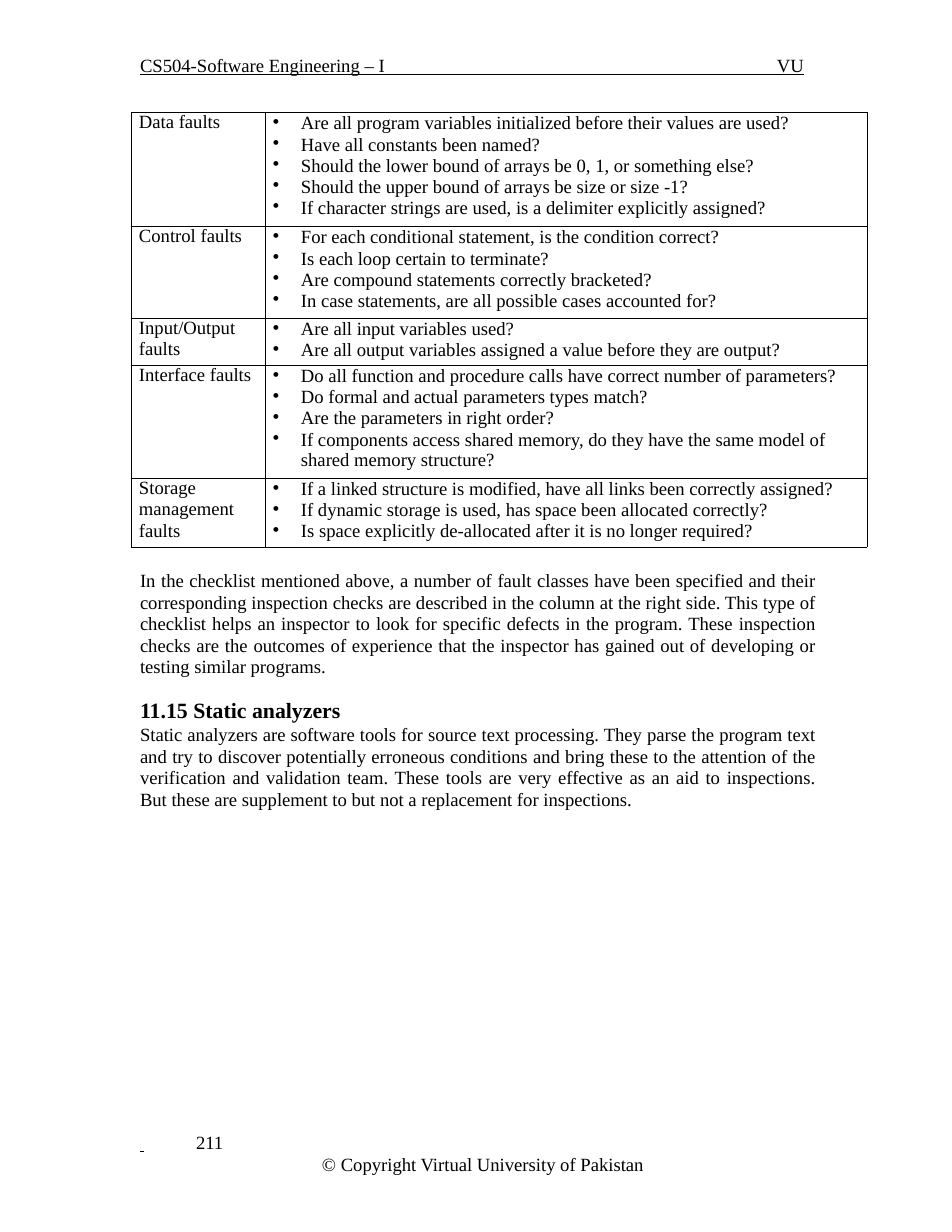
from dataclasses import dataclass

from lxml import etree
from pptx import Presentation, util as u
from pptx.dml.color import RGBColor
from pptx.enum import shapes, text
from pptx.oxml import ns


@dataclass(frozen=True)
class Theme:
    font: str = "Times New Roman"
    ink: RGBColor = RGBColor(0, 0, 0)
    body: float = 12
    heading: float = 14
    rule: float = 0.6
    border: float = 0.48


@dataclass(frozen=True)
class FaultClass:
    label: list[str]
    checks: list[str]
    height: int


@dataclass(frozen=True)
class Passage:
    words: str
    leading: float
    before: float = 0
    heading: bool = False


THEME = Theme()
COLUMNS = (134, 602)
FAULTS = [
    FaultClass(["Data faults"], [
        "Are all program variables initialized before their values are used?",
        "Have all constants been named?",
        "Should the lower bound of arrays be 0, 1, or something else?",
        "Should the upper bound of arrays be size or size -1?",
        "If character strings are used, is a delimiter explicitly assigned?",
    ], 114),
    FaultClass(["Control faults"], [
        "For each conditional statement, is the condition correct?",
        "Is each loop certain to terminate?",
        "Are compound statements correctly bracketed?",
        "In case statements, are all possible cases accounted for?",
    ], 92),
    FaultClass(["Input/Output", "faults"], [
        "Are all input variables used?",
        "Are all output variables assigned a value before they are output?",
    ], 47),
    FaultClass(["Interface faults"], [
        "Do all function and procedure calls have correct number of parameters?",
        "Do formal and actual parameters types match?",
        "Are the parameters in right order?",
        "If components access shared memory, do they have the same model of "
        "shared memory structure?",
    ], 113),
    FaultClass(["Storage", "management faults"], [
        "If a linked structure is modified, have all links been correctly assigned?",
        "If dynamic storage is used, has space been allocated correctly?",
        "Is space explicitly de-allocated after it is no longer required?",
    ], 69),
]
PASSAGES = [
    Passage("In the checklist mentioned above, a number of fault classes have been "
            "specified and their corresponding inspection checks are described in the "
            "column at the right side. This type of checklist helps an inspector to look "
            "for specific defects in the program. These inspection checks are the "
            "outcomes of experience that the inspector has gained out of developing or "
            "testing similar programs.", 13.8),
    Passage("11.15 Static analyzers", 16.4, 13, True),
    Passage("Static analyzers are software tools for source text processing. They parse "
            "the program text and try to discover potentially erroneous conditions and "
            "bring these to the attention of the verification and validation team. These "
            "tools are very effective as an aid to inspections. But these are supplement "
            "to but not a replacement for inspections.", 13.8, 0.5),
]


def px(length: int) -> int:
    return round(length * u.Inches(1) / 112)


def add_child(parent, tag: str, **attributes):
    child = etree.SubElement(parent, ns.qn(tag))
    for name, value in attributes.items():
        child.set(name, str(value))
    return child


def indent(para, left: int, first: int = 0, bullet: bool = False) -> None:
    properties = para._p.get_or_add_pPr()
    properties.set("marL", str(px(left)))
    properties.set("indent", str(px(first)))
    if bullet:
        add_child(properties, "a:buChar", char="•")
    else:
        add_child(properties, "a:buNone")


def style(para, size: float = THEME.body, bold: bool = False,
          leading: float | None = None, before: float = 0) -> None:
    font = para.font
    font.name, font.size, font.bold = THEME.font, u.Pt(size), bold
    font.color.rgb = THEME.ink
    para.space_before = u.Pt(before)
    if leading:
        para.line_spacing = u.Pt(leading)


def place(box, left: int, top: int, width: int, height: int):
    """Position a box, clear its margins and return its text frame."""
    box.left, box.top, box.width, box.height = map(px, (left, top, width, height))
    frame = box.text_frame
    frame.margin_left = frame.margin_right = frame.margin_top = frame.margin_bottom = 0
    frame.vertical_anchor = text.MSO_ANCHOR.TOP
    frame.auto_size = text.MSO_AUTO_SIZE.NONE
    frame.word_wrap = True
    return frame


def paragraphs(frame, count: int) -> list:
    return [frame.paragraphs[0], *(frame.add_paragraph() for _ in range(count - 1))]


def draw_header(page) -> None:
    course = place(page.shapes.title, 140, 54, 260, 24).paragraphs[0]
    unit = place(page.shapes.add_textbox(0, 0, 0, 0), 777, 54, 34, 24).paragraphs[0]
    for para, words in ((course, "CS504-Software Engineering – I"), (unit, "VU")):
        para.text = words
        para.alignment = text.PP_ALIGN.LEFT
        style(para)
    rule = page.shapes.add_connector(
        shapes.MSO_CONNECTOR.STRAIGHT, px(140), px(75), px(804), px(75))
    rule.line.color.rgb = THEME.ink
    rule.line.width = u.Pt(THEME.rule)
    add_child(rule._element.spPr, "a:effectLst")


def outline(cell) -> None:
    cell.fill.background()
    properties = cell._tc.get_or_add_tcPr()
    for position, side in enumerate(("a:lnL", "a:lnR", "a:lnT", "a:lnB")):
        line = add_child(properties, side, w=u.Pt(THEME.border))
        add_child(add_child(line, "a:solidFill"), "a:srgbClr", val=THEME.ink)
        properties.insert(position, line)


def fill_cell(cell, lines: list[str], bulleted: bool) -> None:
    cell.margin_left = cell.margin_right = cell.margin_top = cell.margin_bottom = 0
    outline(cell)
    for number, para in enumerate(paragraphs(cell.text_frame, len(lines))):
        para.text = lines[number]
        if bulleted:
            indent(para, 36, -28, True)
            style(para, leading=None if number else 14.2, before=0.2 if number else 0)
        else:
            indent(para, 8)
            style(para, leading=14 if number else 13)


def draw_checklist(page) -> None:
    table = page.shapes.add_table(
        len(FAULTS), len(COLUMNS), px(131), px(112), px(sum(COLUMNS)),
        px(sum(fault.height for fault in FAULTS))).table
    table.first_row = table.horz_banding = False
    for column, width in zip(table.columns, COLUMNS):
        column.width = px(width)
    for number, fault in enumerate(FAULTS):
        table.rows[number].height = px(fault.height)
        fill_cell(table.cell(number, 0), fault.label, False)
        fill_cell(table.cell(number, 1), fault.checks, True)


def draw_passages(page) -> None:
    frame = place(page.placeholders[1], 139, 570, 678, 241)
    for para, passage in zip(paragraphs(frame, len(PASSAGES)), PASSAGES):
        para.text = passage.words
        para.alignment = text.PP_ALIGN.JUSTIFY
        indent(para, 1)
        style(para, THEME.heading if passage.heading else THEME.body,
              passage.heading, passage.leading, passage.before)


def draw_footer(page) -> None:
    frame = place(page.shapes.add_textbox(0, 0, 0, 0), 139, 1133, 676, 46)
    number, notice = paragraphs(frame, 2)
    indent(number, 1)
    stops = add_child(number._p.get_or_add_pPr(), "a:tabLst")
    add_child(stops, "a:tab", pos=px(645), algn="l")
    for words, underlined in ((" ", True), ("\t211", False)):
        span = number.add_run()
        span.text = words
        span.font.underline = underlined
    style(number, leading=12.8)
    notice.text = "© Copyright Virtual University of Pakistan"
    indent(notice, 183)
    style(notice, leading=14.1)


def main() -> None:
    deck = Presentation()
    deck.slide_width, deck.slide_height = px(952), px(1232)
    page = deck.slides.add_slide(deck.slide_layouts[1])
    draw_header(page)
    draw_checklist(page)
    draw_passages(page)
    draw_footer(page)
    deck.save("out.pptx")


if __name__ == "__main__":
    main()
